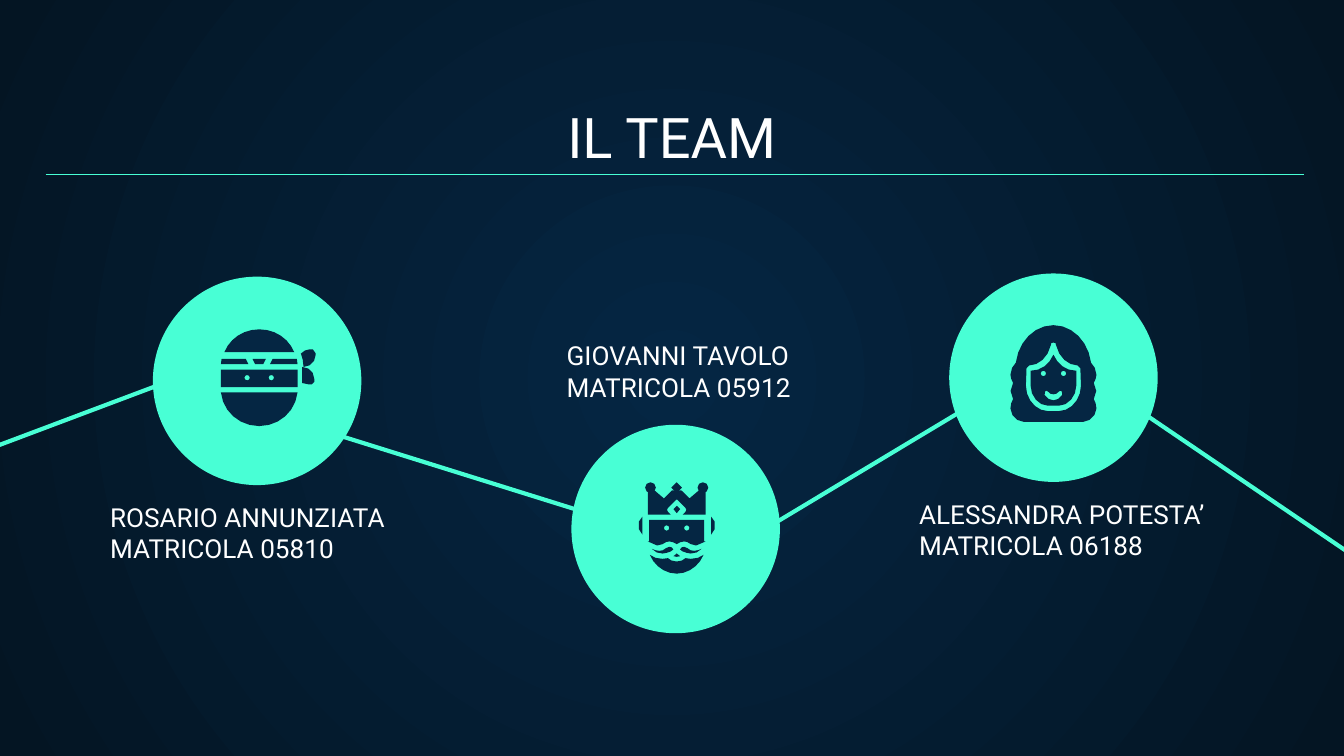
import math
from dataclasses import dataclass

from lxml import etree
from pptx import Presentation
from pptx.dml.color import RGBColor
from pptx.enum.shapes import MSO_CONNECTOR, MSO_SHAPE
from pptx.enum.text import MSO_ANCHOR, PP_ALIGN
from pptx.oxml.ns import qn
from pptx.util import Cm, Pt

STRAIGHT, OVAL = MSO_CONNECTOR.STRAIGHT, MSO_SHAPE.OVAL
LEFT, CENTER = PP_ALIGN.LEFT, PP_ALIGN.CENTER
TOP, BOTTOM = MSO_ANCHOR.TOP, MSO_ANCHOR.BOTTOM

NAVY = RGBColor(0x05, 0x26, 0x43)
NIGHT = RGBColor(0x04, 0x15, 0x23)
MINT = RGBColor(0x48, 0xFF, 0xD5)
WHITE = RGBColor(0xFF, 0xFF, 0xFF)

DIAMETER = 3.94
ICON_UNIT = Cm(0.0254)
CIRCLE_STEPS = 8

Point = tuple[float, float]


@dataclass
class Mark:
    """Outlines in icon units; M, L, C as in a path, O is a circle (x y radius).

    A symmetric outline starting on the axis is completed by its reflection;
    any other symmetric outline is repeated on the other side.
    """
    outlines: list[str]
    symmetric: bool = True


@dataclass
class Member:
    lines: list[str]
    label: tuple[float, float, float, float]
    center: Point
    icon_at: Point
    icon: list[Mark]


@dataclass
class Line:
    start: Point
    end: Point
    width: float = 2.25


# Icons
NINJA = [
    Mark(["M 32 -8 L 32 4 C 34 4 35 5 37 5 L 39 5 L 41 3 L 41 1 C 41 -4 37 -8 32 -8",
          "M 37 -21 C 35 -21 33 -20 31 -18 C 32 -15 33 -12 33 -8 C 38 -8 42 -12 42 -17 "
          "L 42 -18 L 40 -21"], False),
    Mark(["M 0 -6 L -28.5 -6 L -28.5 7 L 0 7", "O -9 0 2"]),
    Mark(["M 0 11 L -28.5 11 C -27 25 -15 36 0 36"]),
    Mark(["M 0 -14 L -5 -14 L -3 -10 L 0 -10"]),
    Mark(["M -28 -14 L -28.5 -10 L -8 -10 L -10 -14"]),
    Mark(["M 0 -36 C -12 -36 -22 -29 -26 -19 L 0 -19"]),
]
KING = [
    # Mouth, moustache and beard
    Mark(["M 0 19 L -2.5 21 L 0 21.5"]),
    Mark(["M -5.5 14 L -8 15 C -9.5 16.5 -11 17 -13 17 L -16 16.5 "
          "L -18.5 15.5 C -16.5 18 -13.5 19 -10.5 19 L -7.5 18.5 "
          "C -4.5 18 -4 17 -2.5 16 C -3 14.5 -4 14 -5.5 14"]),
    Mark(["M 0 25 C -3 25 -5 24 -6.5 22.5 L -10.5 23 C -14.5 23 -17.5 22 -20 20 "
          "C -16.5 28.5 -8.5 34 0 34"]),
    # Crown
    Mark(["M 0 -28 L -3.5 -28 L -9.5 -22 L -16.5 -28 L -21.5 -28 L -21.5 -10 L -4.5 -10 "
          "L -6.5 -12 L -7.2 -13.5 L -6.5 -15 L -0.5 -21 L 0 -21.2"]),
    Mark(["M 0 -34 C -5.3 -34 -5.3 -26 0 -26", "O -19.5 -30 4"]),
    Mark(["M 0 -16.5 L -2.5 -14 L 0 -11"]),
    # Ears and face
    Mark(["M -25.5 -8.5 C -29.5 -7 -29.5 3 -25.5 5"]),
    Mark(["M 0 -6 L -20.5 -6 L -20.5 10 L -21.5 10 L -14.5 13 L -10.5 12 "
          "C -8.5 10.5 -7 10 -5.5 10 C -3.5 10 -1.5 11 0 12", "O -7.5 0 2"]),
]
WOMAN = [
    # Face with eyes and smile
    Mark(["M 0 -14 C -3 -7 -9 -2 -17 -2 L -17 9 C -17 17 -11 24 -4 24 L 0 24", "O -7.5 0 2",
          "M 0 15.5 C -1.5 15.5 -3 15 -4 13.5 L -5.3 12.8 L -6.3 13.5 "
          "L -6.5 16 C -5 18.5 -2.5 20 0 20"]),
    # Hair
    Mark(["M 0 -36 C -14 -36 -26 -24 -28 -8 C -30 -6 -32 -3 -32 1 C -32 3 -31 5 -30 7 "
          "C -32.5 10 -32.5 16 -30 19 C -31 21 -32 23 -32 26 "
          "C -32 31 -27 36 -22 36 L 0 36",
          "M 0 -23 L -1.5 -22.7 L -2 -21 C -4 -12 -11 -6 -18 -6 "
          "L -20 -4 L -20.5 9 C -20.5 19 -13 28 -4 28 L 0 28"]),
]

MEMBERS = [
    Member(["GIOVANNI TAVOLO", "MATRICOLA 05912"], (10.46, 6.17, 5.87, 1.96),
           (12.77, 10), (12.79, 9.98), KING),
    Member(["ALESSANDRA POTESTA’", "MATRICOLA 06188"], (17.12, 9.17, 6.48, 1.83),
           (19.91, 7.14), (19.91, 7.06), WOMAN),
    Member(["ROSARIO ANNUNZIATA", "MATRICOLA 05810"], (1.83, 9.22, 6.1, 1.78),
           (4.86, 7.2), (4.9, 7.14), NINJA),
]
LINES = [
    Line((-1.68, 9.04), (3.58, 7.06)),
    Line((6.5, 8.26), (10.95, 9.65)),
    Line((13.94, 10.31), (18.92, 7.32)),
    Line((21.21, 7.54), (26.04, 10.82)),
    Line((0.86, 3.3), (24.64, 3.3), 0.75),
]


def set_background(s) -> None:
    fill = s.background.fill
    fill.gradient()
    for stop, color in zip(fill.gradient_stops, (NAVY, NIGHT)):
        stop.color.rgb = color
    lin = next(s.element.iter(qn("a:lin")))
    grad = lin.getparent()
    grad.remove(lin)
    radial = etree.SubElement(grad, qn("a:path"), {"path": "circle"})
    etree.SubElement(radial, qn("a:fillToRect"), {side: "50000" for side in "ltrb"})


def add_text(s, lines: list[str], box: tuple[float, float, float, float], *,
             size: float = 14, align=LEFT, anchor=TOP) -> None:
    tf = s.shapes.add_textbox(*map(Cm, box)).text_frame
    tf.word_wrap = True
    tf.vertical_anchor = anchor
    tf.margin_left = tf.margin_right = tf.margin_top = tf.margin_bottom = Cm(0.25)
    for i, line in enumerate(lines):
        p = tf.paragraphs[0] if i == 0 else tf.add_paragraph()
        p.alignment = align
        r = p.add_run()
        r.text = line
        r.font.name, r.font.size, r.font.color.rgb = "Roboto", Pt(size), WHITE


def add_line(s, line: Line) -> None:
    sp = s.shapes.add_connector(STRAIGHT, *map(Cm, line.start + line.end))
    sp.line.color.rgb, sp.line.width = MINT, Pt(line.width)
    etree.SubElement(sp.element.spPr, qn("a:effectLst"))


def paint(sp, color: RGBColor) -> None:
    sp.shadow.inherit = False
    sp.fill.solid()
    sp.fill.fore_color.rgb = color
    sp.line.fill.background()


def flatten(outline: str) -> list[Point]:
    points: list[Point] = []
    tokens = iter(outline.split())
    for command in tokens:
        if command == "O":
            x, y, radius = (float(next(tokens)) for _ in range(3))
            turns = (math.tau * i / CIRCLE_STEPS for i in range(CIRCLE_STEPS))
            points += [(x + radius * math.cos(t), y + radius * math.sin(t)) for t in turns]
        elif command == "C":
            ends = [points[-1]] + [(float(next(tokens)), float(next(tokens))) for _ in range(3)]
            # Longer curves get more steps
            steps = max(2, min(6, round(math.dist(ends[0], ends[3]) / 5)))
            for i in range(1, steps + 1):
                t = i / steps
                weights = ((1 - t) ** 3, 3 * t * (1 - t) ** 2, 3 * t * t * (1 - t), t ** 3)
                points.append((sum(w * e[0] for w, e in zip(weights, ends)),
                               sum(w * e[1] for w, e in zip(weights, ends))))
        else:
            points.append((float(next(tokens)), float(next(tokens))))
    return points


def contours(mark: Mark) -> list[list[Point]]:
    result = []
    for points in map(flatten, mark.outlines):
        mirrored = [(-x, y) for x, y in reversed(points)]
        if not mark.symmetric:
            result.append(points)
        elif points[0][0] == 0:
            result.append(points + mirrored[1:-1])
        else:
            result += [points, mirrored]
    return result


def add_icon(s, icon: list[Mark], at: Point) -> None:
    group = s.shapes.add_group_shape()
    for mark in icon:
        loops = [[(x * ICON_UNIT, y * ICON_UNIT) for x, y in c] for c in contours(mark)]
        builder = group.shapes.build_freeform(*loops[0][0])
        for i, loop in enumerate(loops):
            if i:
                builder.move_to(*loop[0])
            builder.add_line_segments(loop[1:], close=True)
        paint(builder.convert_to_shape(*map(Cm, at)), NAVY)


def add_member(s, member: Member) -> None:
    x, y = (c - DIAMETER / 2 for c in member.center)
    paint(s.shapes.add_shape(OVAL, Cm(x), Cm(y), Cm(DIAMETER), Cm(DIAMETER)), MINT)
    add_icon(s, member.icon, member.icon_at)
    add_text(s, member.lines, member.label)


def main() -> None:
    prs = Presentation()
    prs.slide_width, prs.slide_height = Cm(25.4), Cm(14.29)
    s = prs.slides.add_slide(prs.slide_layouts[6])
    set_background(s)
    add_text(s, ["IL TEAM"], (0.86, 1.78, 23.67, 1.68), size=30, align=CENTER, anchor=BOTTOM)
    for line in LINES:
        add_line(s, line)
    for member in MEMBERS:
        add_member(s, member)
    prs.save("out.pptx")


if __name__ == "__main__":
    main()
